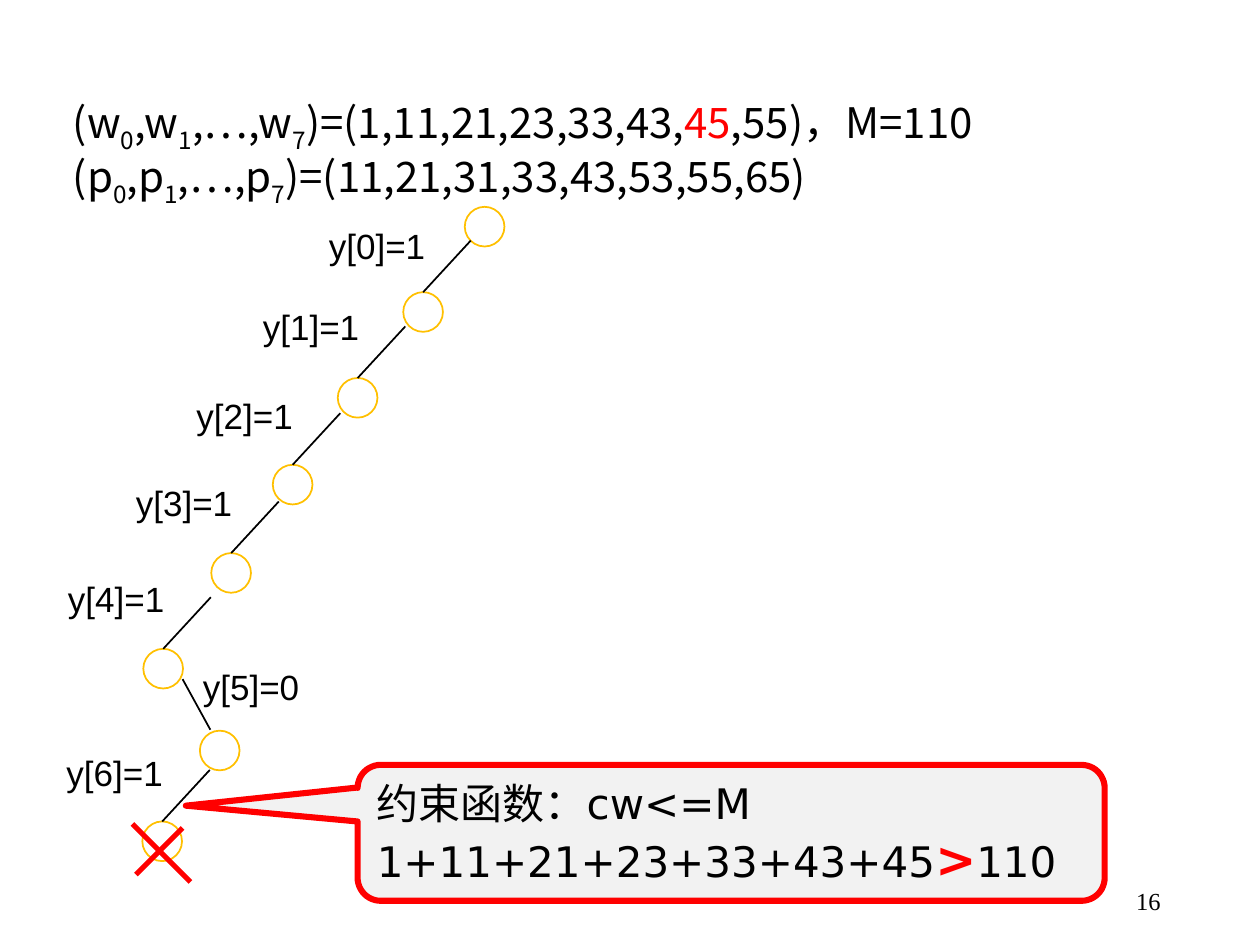
"""Build a slide tracing a 0/1 knapsack search path to its first infeasible node."""
from lxml import etree
from pptx import Presentation
from pptx import util as u
from pptx.dml.color import RGBColor
from pptx.enum import shapes, text
from pptx.oxml.ns import qn

Cm, Pt = u.Cm, u.Pt
BLACK, RED, GOLD = "000000", "FF0000", "FFC000"


def color(target, value):
    """Apply a hex colour to a fill, or to the colour of a font."""
    if hasattr(target, "solid"):
        target.solid()
        target.fore_color.rgb = RGBColor.from_string(value)
    else:
        target.color.rgb = RGBColor.from_string(value)


def add_line(start, end, value, width):
    """Draw a straight line without a shadow."""
    line = slide.shapes.add_connector(
        shapes.MSO_CONNECTOR.STRAIGHT, *map(Cm, start + end))
    color(line.line.fill, value)
    line.line.width = Pt(width)
    etree.SubElement(line._element.spPr, qn("a:effectLst"))


presentation = Presentation()
presentation.slide_width, presentation.slide_height = Cm(25.4), Cm(19.05)
slide = presentation.slides.add_slide(presentation.slide_layouts[6])

weights = [("(w", BLACK), ("0", BLACK), (",w", BLACK), ("1", BLACK), (",…,w", BLACK),
           ("7", BLACK), (")=(1,11,21,23,33,43,", BLACK), ("45", RED),
           (",55)，M=110", BLACK)]
profits = [("(p", BLACK), ("0", BLACK), (",p", BLACK), ("1", BLACK), (",…,p", BLACK),
           ("7", BLACK), (")=(11,21,31,33,43,53,55,65)", BLACK)]

nodes = [(9.37, 4.17), (8.13, 5.89), (6.81, 7.62), (5.5, 9.37), (4.26, 11.15),
         (2.89, 13.08), (4.03, 14.73), (2.87, 16.56)]
choices = [1, 1, 1, 1, 1, 0, 1]
label_places = [(6.38, 4.57), (5.05, 6.2), (3.71, 8), (2.49, 9.75),
                (1.12, 11.68), (3.84, 13.46), (1.09, 15.19)]

text_boxes = [((1.22, 1.93, 20.75, 2.03), [weights, profits], 24, "Noto Sans CJK SC")]
for level, (place, choice) in enumerate(zip(label_places, choices)):
    label = [(f"y[{level}]={choice}", BLACK)]
    text_boxes.append((place + (2.69, 1.02), [label], 20, "Arial"))

for left, top in nodes:
    node = slide.shapes.add_shape(
        shapes.MSO_SHAPE.OVAL, Cm(left), Cm(top), Cm(0.8), Cm(0.8))
    node.shadow.inherit = False
    color(node.fill, "FFFFFF")
    color(node.line.fill, GOLD)
    node.line.width = Pt(1)

for (left, top), choice in zip(nodes[1:], choices):
    if choice:
        add_line((left + 1.36, top - 1.04), (left + 0.4, top), BLACK, 1)
    else:
        add_line((left - 0.35, top - 1.04), (left + 0.21, top - 0.02), BLACK, 1)

for box, lines, size, font_name in text_boxes:
    shape = slide.shapes.add_textbox(*map(Cm, box))
    frame = shape.text_frame
    frame.word_wrap = True
    for index, runs in enumerate(lines):
        paragraph = frame.paragraphs[0] if index == 0 else frame.add_paragraph()
        properties = paragraph._p.get_or_add_pPr()
        properties.set("marL", str(Cm(0.95)))
        properties.set("indent", str(Cm(-0.95)))
        paragraph.line_spacing = 0.8
        if index:
            paragraph.space_before = Pt(size * 0.2)
        paragraph.font.size = Pt(size)
        paragraph.font.name = font_name
        for content, value in runs:
            run = paragraph.add_run()
            run.text = content
            color(run.font, value)
            if content in ("0", "1", "7"):
                run._r.get_or_add_rPr().set("baseline", "-25000")

callout = slide.shapes.add_shape(
    shapes.MSO_SHAPE.ROUNDED_RECTANGULAR_CALLOUT, Cm(7.21), Cm(15.42), Cm(15.06), Cm(2.74))
callout.shadow.inherit = False
for index, adjustment in enumerate((-0.73, -0.2, 0.17)):
    callout.adjustments[index] = adjustment
color(callout.fill, "F2F2F2")
color(callout.line.fill, RED)
callout.line.width = Pt(3.5)
frame = callout.text_frame
frame.word_wrap = True
frame.vertical_anchor = text.MSO_ANCHOR.TOP
constraint = [[("约束函数：cw<=M", BLACK)],
              [("1+11+21+23+33+43+45", BLACK), (">", RED), ("110", BLACK)]]
for index, runs in enumerate(constraint):
    paragraph = frame.paragraphs[0] if index == 0 else frame.add_paragraph()
    paragraph.alignment = text.PP_ALIGN.LEFT
    paragraph.font.name = "DejaVu Sans"
    for content, value in runs:
        run = paragraph.add_run()
        run.text = content
        run.font.size = Pt(28 if value == RED else 24)
        run.font.bold = value == RED
        color(run.font, value)

add_line((2.67, 16.61), (3.84, 17.78), RED, 3)
add_line((3.68, 16.69), (2.74, 17.63), RED, 3)

number = slide.shapes.add_textbox(Cm(17.93), Cm(17.65), Cm(5.72), Cm(1.02))
number.text_frame.word_wrap = True
number.text_frame.vertical_anchor = text.MSO_ANCHOR.MIDDLE
paragraph = number.text_frame.paragraphs[0]
paragraph.text = "16"
paragraph.alignment = text.PP_ALIGN.RIGHT
paragraph.font.size = Pt(14)
paragraph.font.name = "Times New Roman"
color(paragraph.font, BLACK)

presentation.save("out.pptx")
